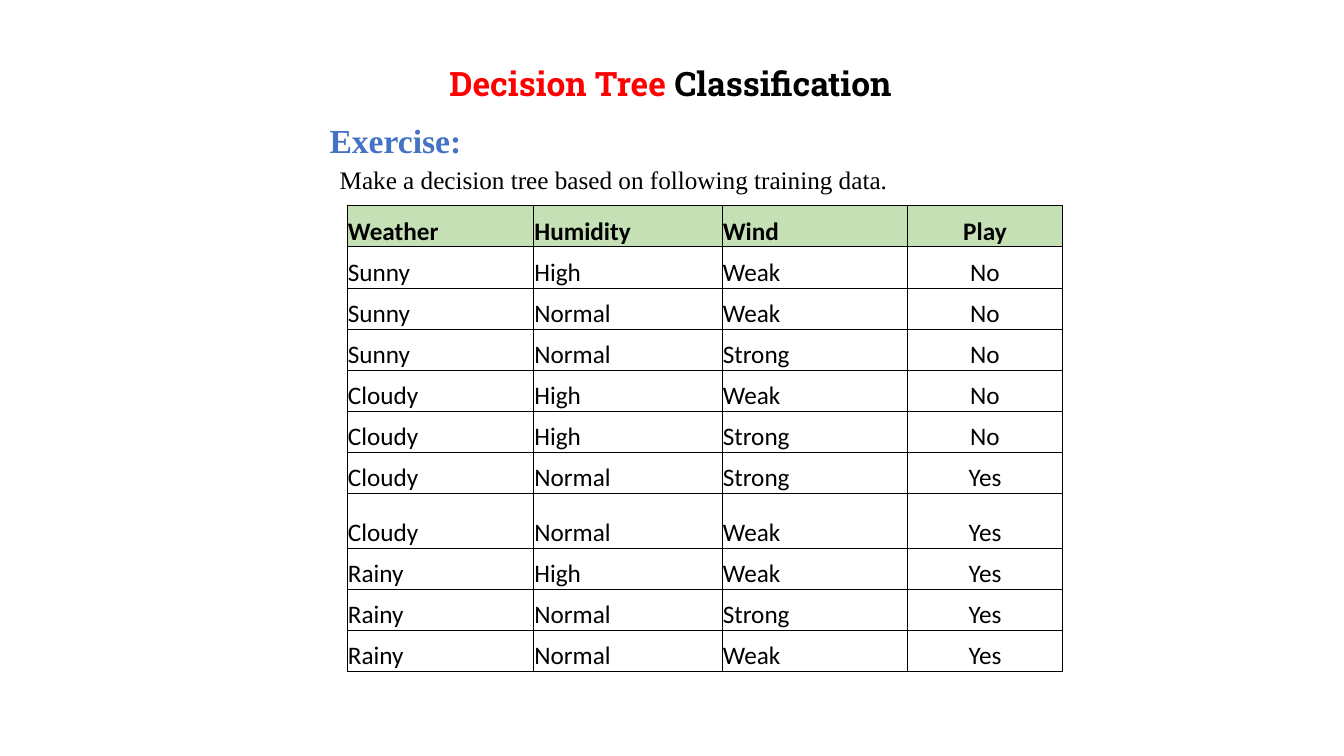
from lxml import etree
from pptx import Presentation
from pptx import util as u
from pptx.dml.color import RGBColor
from pptx.enum import text as t
from pptx.oxml import ns

HUES = {"black": "000000", "red": "FF0000", "blue": "4472C4",
        "green": "C5E0B4", "white": "FFFFFF"}


def hue(name):
    return RGBColor.from_string(HUES[name])


def write(par, words, font="Calibri", size=18, color="black", bold=False):
    """Add one formatted run to a paragraph."""
    run = par.add_run()
    run.text = words
    run.font.name = font
    run.font.size = u.Pt(size)
    run.font.bold = bold
    run.font.color.rgb = hue(color)


class Page:
    def __init__(self, deck):
        self.slide = deck.slides.add_slide(deck.slide_layouts[6])
        self.slide.background.fill.solid()
        self.slide.background.fill.fore_color.rgb = hue("white")

    def label(self, box, runs, lead, align=t.PP_ALIGN.LEFT, **style):
        """Text box; runs are (words, color) pairs."""
        frame = self.slide.shapes.add_textbox(*map(u.Inches, box)).text_frame
        frame.word_wrap = True
        frame.auto_size = t.MSO_AUTO_SIZE.SHAPE_TO_FIT_TEXT
        par = frame.paragraphs[0]
        par.alignment = align
        par.line_spacing = lead
        for words, color in runs:
            write(par, words, color=color, **style)

    def border(self, cell, width=0.5):
        props = cell._tc.get_or_add_tcPr()
        for i, side in enumerate(("lnL", "lnR", "lnT", "lnB")):
            line = etree.Element(ns.qn("a:" + side), w=str(u.Pt(width)))
            fill = etree.SubElement(line, ns.qn("a:solidFill"))
            etree.SubElement(fill, ns.qn("a:srgbClr"), val=HUES["black"])
            props.insert(i, line)

    def cell(self, cell, words, head, center):
        cell.margin_left = cell.margin_right = cell.margin_top = u.Inches(0.01)
        cell.margin_bottom = 0
        cell.vertical_anchor = t.MSO_ANCHOR.BOTTOM
        if head:
            cell.fill.solid()
            cell.fill.fore_color.rgb = hue("green")
        else:
            cell.fill.background()
        par = cell.text_frame.paragraphs[0]
        par.alignment = t.PP_ALIGN.CENTER if center else t.PP_ALIGN.LEFT
        write(par, words, bold=head)
        self.border(cell)

    def table(self, box, rows, widths, heights):
        grid = self.slide.shapes.add_table(
            len(rows), len(widths), *map(u.Inches, box)).table
        for col, width in zip(grid.columns, widths):
            col.width = u.Inches(width)
        for row, height in zip(grid.rows, heights):
            row.height = u.Inches(height)
        for r, row in enumerate(rows):
            for c, words in enumerate(row):
                self.cell(grid.cell(r, c), words, r == 0, c == len(row) - 1)


# Training data
DATA = """Weather Humidity Wind Play
Sunny High Weak No
Sunny Normal Weak No
Sunny Normal Strong No
Cloudy High Weak No
Cloudy High Strong No
Cloudy Normal Strong Yes
Cloudy Normal Weak Yes
Rainy High Weak Yes
Rainy Normal Strong Yes
Rainy Normal Weak Yes"""


def main():
    deck = Presentation()
    deck.slide_width, deck.slide_height = u.Inches(13.33), u.Inches(7.5)
    page = Page(deck)

    # Table: one taller row, the rest share the height
    rows = [line.split() for line in DATA.splitlines()]
    full, tall = 4.62, 0.54
    heights = [(full - tall) / (len(rows) - 1)] * len(rows)
    heights[7] = tall
    page.table((3.44, 2.04, 7.09, full), rows,
               (1.85, 1.87, 1.84, 1.54), heights)

    # Title
    page.label((3.39, 0.52, 6.52, 0.53),
               [("Decision Tree ", "red"), ("Classification", "black")], 1.15,
               align=t.PP_ALIGN.CENTER, font="Roboto Slab", size=24, bold=True)

    # Task
    page.label((3.17, 1.12, 1.67, 0.5), [("Exercise:", "blue")], 1.06,
               font="Times New Roman", size=24, bold=True)
    page.label((3.27, 1.56, 5.69, 0.42),
               [("Make a decision tree based on following training data.",
                 "black")], 1.06, font="Times New Roman")

    deck.save("out.pptx")


if __name__ == "__main__":
    main()
